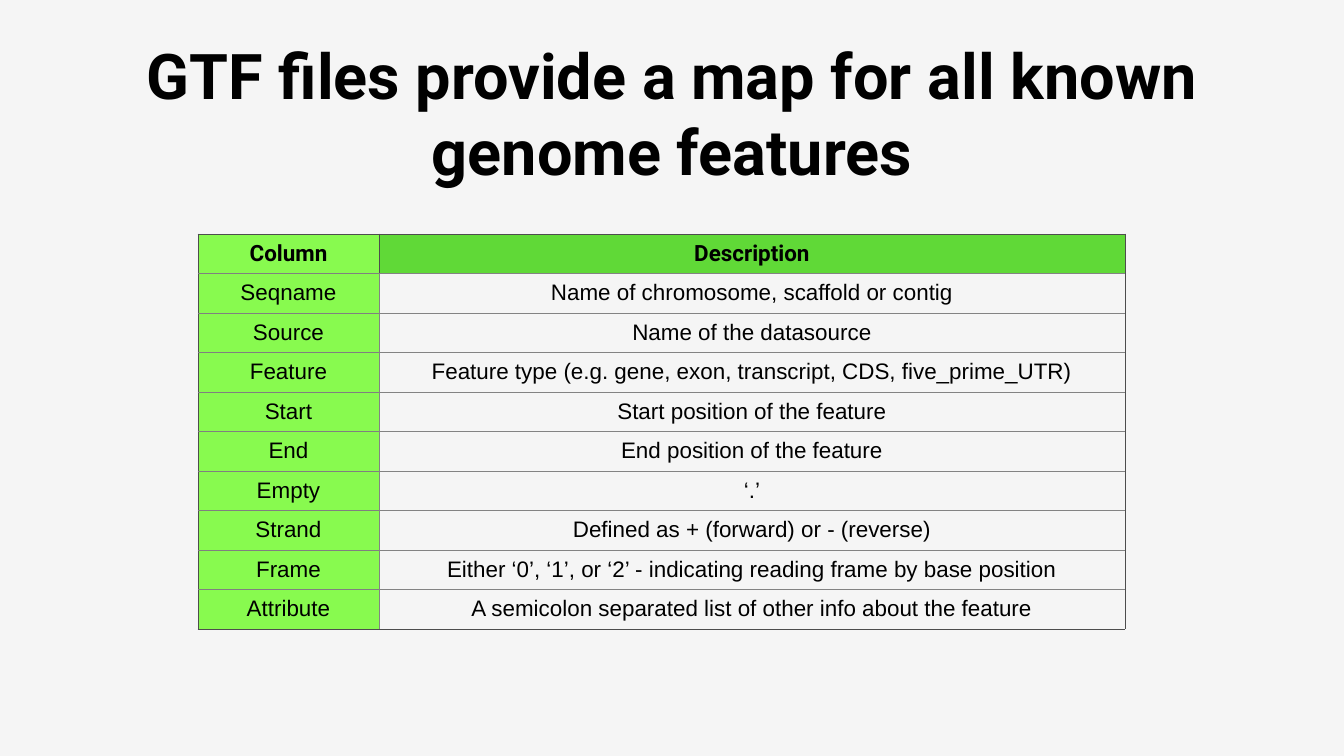
from dataclasses import dataclass

from lxml import etree
from pptx import Presentation
from pptx.dml.color import RGBColor
from pptx.enum.text import MSO_ANCHOR, MSO_AUTO_SIZE, PP_ALIGN
from pptx.oxml.ns import qn
from pptx.util import Emu, Pt

CENTER = PP_ALIGN.CENTER
MIDDLE = MSO_ANCHOR.MIDDLE
NO_AUTOFIT = MSO_AUTO_SIZE.NONE
TITLE_ONLY = 5
EMU_PER_PX = 18144


@dataclass(frozen=True)
class Theme:
    background: str = "F5F5F5"
    text: str = "000000"
    header: str = "60D937"
    key: str = "88FA4F"
    frame: str = "4D4D4D"
    key_line: str = "808080"
    body_line: str = "838383"
    heading_font: str = "Roboto"
    body_font: str = "Arial"
    title_size: int = 90
    table_size: int = 32
    line_width: int = 1


THEME = Theme()

HEADER = ("Column", "Description")
FIELDS = [
    ("Seqname", "Name of chromosome, scaffold or contig"),
    ("Source", "Name of the datasource"),
    ("Feature", "Feature type (e.g. gene, exon, transcript, CDS, five_prime_UTR)"),
    ("Start", "Start position of the feature"),
    ("End", "End position of the feature"),
    ("Empty", "‘.’"),
    ("Strand", "Defined as + (forward) or - (reverse)"),
    ("Frame", "Either ‘0’, ‘1’, or ‘2’ - indicating reading frame by base position"),
    ("Attribute", "A semicolon separated list of other info about the feature"),
]


def px(n):
    return Emu(round(n * EMU_PER_PX))


def write(tf, text, size, font, bold):
    p = tf.paragraphs[0]
    p.alignment = CENTER
    r = p.add_run()
    r.text = text
    r.font.size = Pt(size)
    r.font.name = font
    r.font.bold = bold
    r.font.color.rgb = RGBColor.from_string(THEME.text)


def set_margins(box, margin):
    box.margin_left = box.margin_right = px(margin)
    box.margin_top = box.margin_bottom = px(margin)


def set_borders(cell, left, right, top, bottom):
    """Draw the four cell borders; call before filling, as the schema wants lines first."""
    tc_pr = cell._tc.get_or_add_tcPr()
    for side, color in zip("LRTB", (left, right, top, bottom)):
        ln = etree.SubElement(tc_pr, qn(f"a:ln{side}"), w=str(Pt(THEME.line_width)))
        fill = etree.SubElement(ln, qn("a:solidFill"))
        etree.SubElement(fill, qn("a:srgbClr"), val=color)


def add_title(s, text, x, y, w, h):
    sp = s.shapes.title
    sp.left, sp.top, sp.width, sp.height = px(x), px(y), px(w), px(h)
    tf = sp.text_frame
    tf.word_wrap = True
    tf.auto_size = NO_AUTOFIT
    tf.vertical_anchor = MIDDLE
    set_margins(tf, 4)
    write(tf, text, THEME.title_size, THEME.heading_font, True)


def style_cell(cell, text, is_header, is_key, is_last):
    cell.vertical_anchor = MIDDLE
    set_margins(cell, 3)
    font = THEME.heading_font if is_header else THEME.body_font
    write(cell.text_frame, text, THEME.table_size, font, is_header)

    line = THEME.key_line if is_key else THEME.body_line
    set_borders(
        cell,
        left=THEME.frame if is_key or is_header else line,
        right=line if is_key and not is_header else THEME.frame,
        top=THEME.frame if is_header else line,
        bottom=THEME.frame if is_last else line,
    )
    if is_key or is_header:
        cell.fill.solid()
        color = THEME.key if is_key else THEME.header
        cell.fill.fore_color.rgb = RGBColor.from_string(color)
    else:
        cell.fill.background()


def add_field_table(s, x, y, w, h, key_width):
    rows = [HEADER, *FIELDS]
    frame = s.shapes.add_table(len(rows), len(HEADER), px(x), px(y), px(w), px(h))
    table = frame.table
    table.first_row = table.horz_banding = False
    table.columns[0].width = px(key_width)
    table.columns[1].width = px(w - key_width)
    for i, values in enumerate(rows):
        table.rows[i].height = px(h / len(rows))
        for j, text in enumerate(values):
            style_cell(table.cell(i, j), text, i == 0, j == 0, i == len(rows) - 1)


def main():
    prs = Presentation()
    prs.slide_width, prs.slide_height = px(1344), px(756)
    s = prs.slides.add_slide(prs.slide_layouts[TITLE_ONLY])
    s.background.fill.solid()
    s.background.fill.fore_color.rgb = RGBColor.from_string(THEME.background)
    add_title(s, "GTF files provide a map for all known genome features", 99, 33, 1146, 159)
    add_field_table(s, 198, 234, 927, 395, key_width=181)
    prs.save("out.pptx")


if __name__ == "__main__":
    main()
